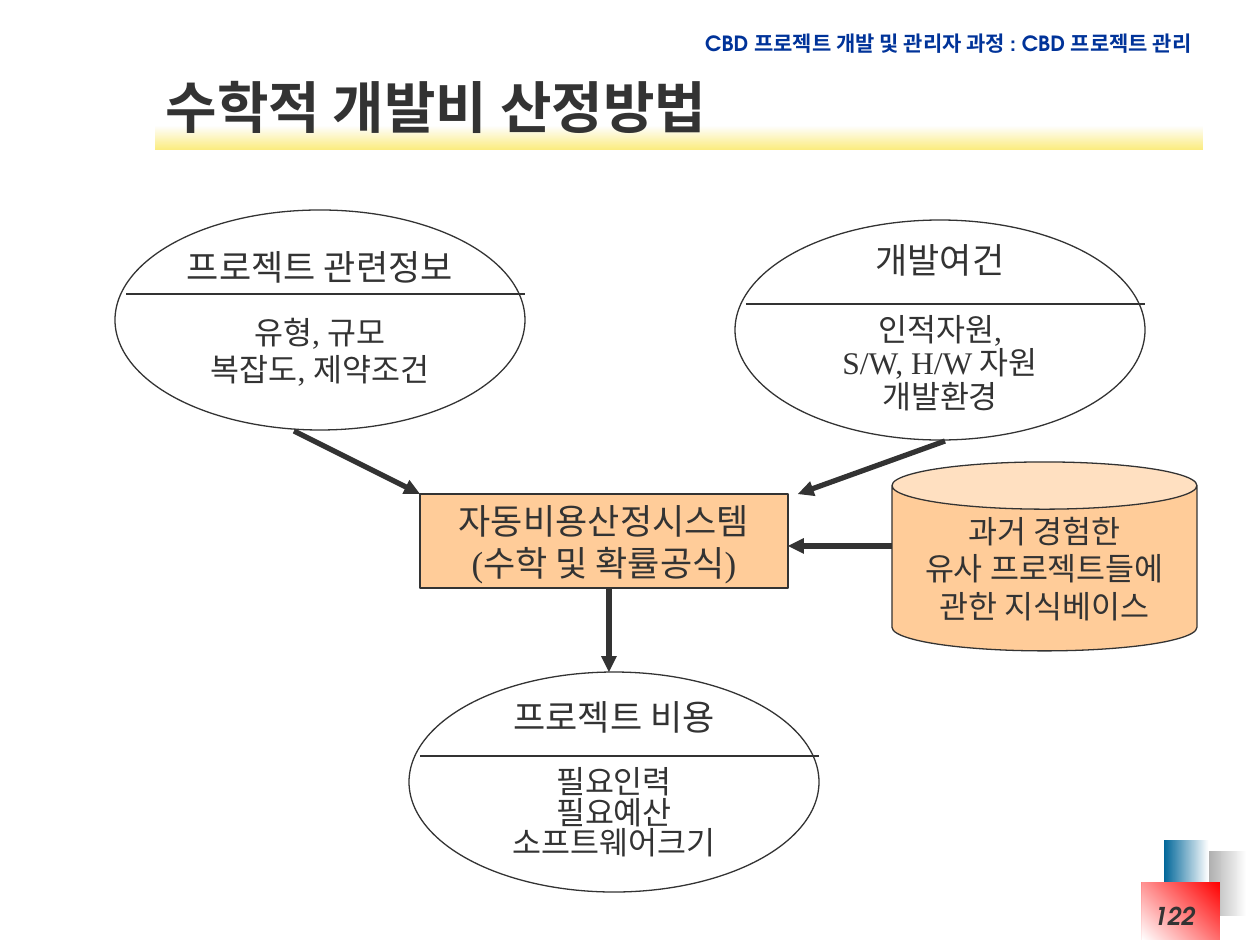
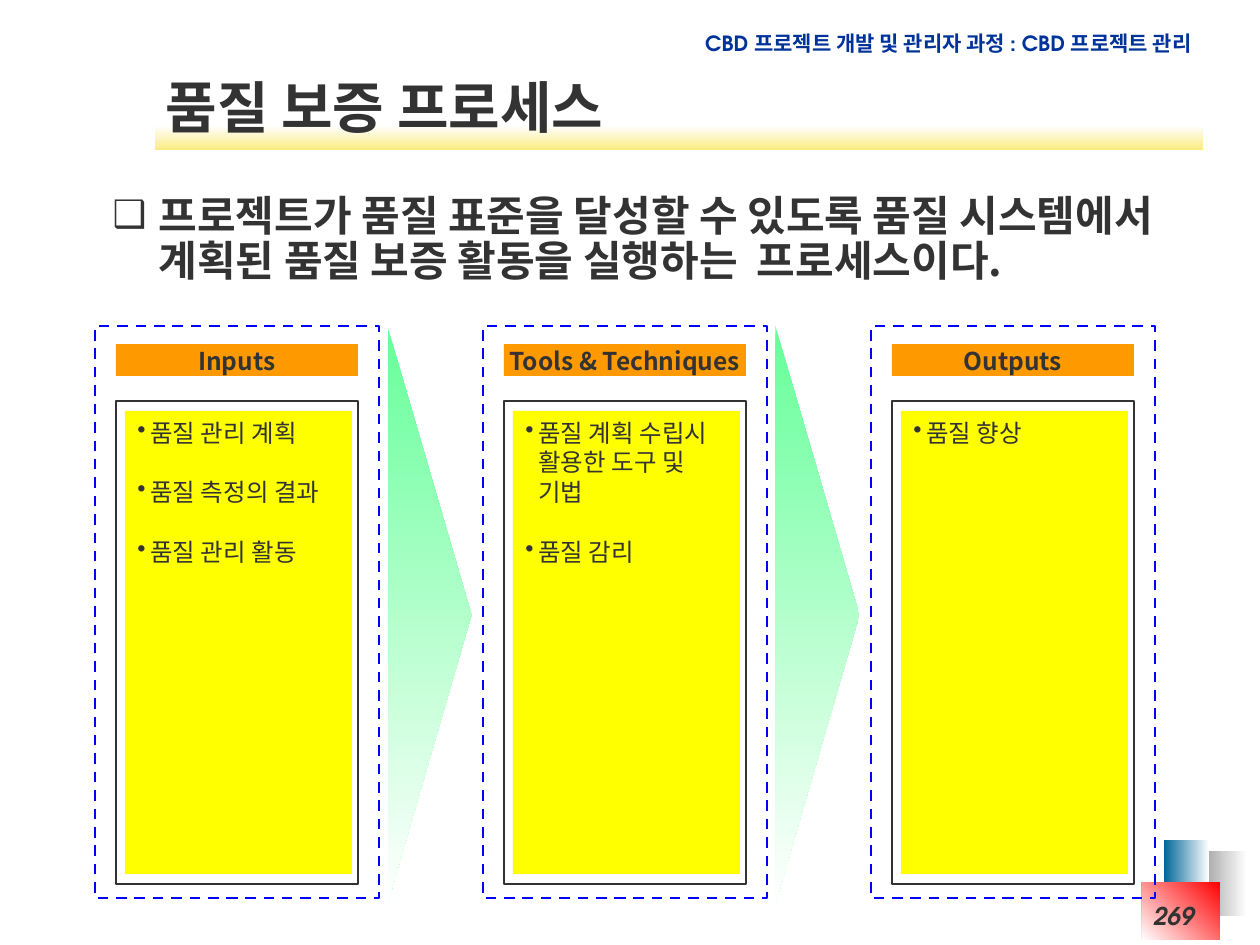
from lxml.etree import SubElement
from pptx import Presentation
from pptx.dml.color import RGBColor
from pptx.enum.dml import MSO_LINE
from pptx.enum.shapes import MSO_CONNECTOR, MSO_SHAPE as Preset
from pptx.enum.text import MSO_ANCHOR as Anchor, MSO_AUTO_SIZE, PP_ALIGN as Align
from pptx.oxml.ns import qn
from pptx.util import Emu, Pt

EMU_PER_PX = 914400 / 126

INK = RGBColor(0x33, 0x33, 0x33)
WHITE = RGBColor(0xFF, 0xFF, 0xFF)
GRAY = RGBColor(0x96, 0x96, 0x96)
TEAL = RGBColor(0x00, 0x66, 0x99)
RED = RGBColor(0xFF, 0x00, 0x00)
OFF_WHITE = RGBColor(0xFE, 0xFE, 0xFE)
PALE_YELLOW = RGBColor(0xFB, 0xEC, 0x7F)
NAVY = RGBColor(0x00, 0x33, 0x99)
PEACH = RGBColor(0xFF, 0xCC, 0x99)
BLUE = RGBColor(0x00, 0x00, 0xFF)
ORANGE = RGBColor(0xFF, 0x99, 0x00)
YELLOW = RGBColor(0xFF, 0xFF, 0x00)
GREEN = RGBColor(0x66, 0xFF, 0x99)

SANS = "Noto Sans CJK KR"
SERIF = "Times New Roman"
GEOMETRIC = "TeX Gyre Adventor"

COURSE = "CBD 프로젝트 개발 및 관리자 과정 : CBD 프로젝트 관리"
TITLE_ONLY, TITLE_AND_BODY = 5, 1
COLUMN_LEFT, COLUMN_PITCH = 95, 388


def px(length):
    return Emu(round(length * EMU_PER_PX))


def place(shape, left, top, width, height):
    shape.left, shape.top = px(left), px(top)
    shape.width, shape.height = px(width), px(height)


def format_paragraph(paragraph, size, font_name, color=INK, bold=False, italic=False,
                     align=Align.LEFT, spacing=None):
    paragraph.alignment = align
    if spacing:
        paragraph.line_spacing = Pt(spacing)
    for run in paragraph.runs:
        font = run.font
        font.size, font.bold, font.italic = Pt(size), bold, italic
        font.color.rgb = color
        font.name = font_name
        SubElement(run._r.get_or_add_rPr(), qn("a:ea"), typeface=SANS)


def add_bullet(paragraph, character, margin, hanging, percent=100):
    properties = paragraph._p.get_or_add_pPr()
    properties.set("marL", str(px(margin)))
    properties.set("indent", str(-px(hanging)))
    color = SubElement(properties, qn("a:buClr"))
    SubElement(color, qn("a:srgbClr"), val=str(INK))
    SubElement(properties, qn("a:buSzPct"), val=str(percent * 1000))
    SubElement(properties, qn("a:buChar"), char=character)


def add_shape(slide, preset, box, fill=None, line=None, line_width=0.75):
    shape = slide.shapes.add_shape(preset, *map(px, box))
    shape.shadow.inherit = False
    if fill is None:
        shape.fill.background()
    else:
        shape.fill.solid()
        shape.fill.fore_color.rgb = fill
    if line is None:
        shape.line.fill.background()
    else:
        shape.line.color.rgb = line
        shape.line.width = Pt(line_width)
    return shape


def add_gradient_shape(slide, preset, box, start, end, clockwise):
    shape = add_shape(slide, preset, box)
    shape.fill.gradient()
    shape.fill.gradient_angle = (360 - clockwise) % 360
    for stop, position, color in zip(shape.fill.gradient_stops, (0, 1), (start, end)):
        stop.position = position
        stop.color.rgb = color
    return shape


def write_centered(shape, lines, size, font_name, spacing, bold=False):
    frame = shape.text_frame
    frame.text = "\n".join(lines)
    frame.word_wrap = False
    frame.vertical_anchor = Anchor.MIDDLE
    for paragraph in frame.paragraphs:
        format_paragraph(paragraph, size, font_name, bold=bold, align=Align.CENTER,
                         spacing=spacing)
    return frame


def add_line(slide, start, end, width=0.75, arrow=False):
    connector = slide.shapes.add_connector(MSO_CONNECTOR.STRAIGHT, *map(px, start + end))
    connector.line.color.rgb = INK
    connector.line.width = Pt(width)
    properties = connector.element.spPr
    if arrow:
        SubElement(properties.find(qn("a:ln")), qn("a:tailEnd"), type="triangle")
    SubElement(properties, qn("a:effectLst"))


def add_right_text(slide, text, box, size, color, italic=False, spacing=None):
    frame = slide.shapes.add_textbox(*map(px, box)).text_frame
    frame.word_wrap = True
    frame.text = text
    format_paragraph(frame.paragraphs[0], size, GEOMETRIC, color, bold=True,
                     italic=italic, align=Align.RIGHT, spacing=spacing)


def fill_placeholder(placeholder, text, box, size, spacing):
    placeholder.element.getparent().append(placeholder.element)
    place(placeholder, *box)
    frame = placeholder.text_frame
    frame.text = text
    frame.auto_size = MSO_AUTO_SIZE.NONE
    paragraph = frame.paragraphs[0]
    format_paragraph(paragraph, size, SANS, bold=True, spacing=spacing)
    return paragraph


def add_base_slide(presentation, layout_index, title):
    slide = presentation.slides.add_slide(presentation.slide_layouts[layout_index])
    for box, start, end, angle in (
        ((1197, 851, 50, 65), WHITE, GRAY, 180),
        ((1164, 840, 45, 66), WHITE, TEAL, 180),
        ((1142, 882, 78, 58), RED, WHITE, 135),
        ((155, 126, 1048, 24), OFF_WHITE, PALE_YELLOW, 90),
    ):
        add_gradient_shape(slide, Preset.RECTANGLE, box, start, end, angle)
    add_right_text(slide, COURSE, (680, 23, 524, 38), 12, NAVY, spacing=15)
    fill_placeholder(slide.shapes.title, title, (153, 64, 1048, 77), 32, 42)
    return slide


def add_page_number(slide, number):
    add_right_text(slide, str(number), (1052, 895, 155, 50), 14, INK, italic=True)


def add_divided_ellipse(slide, left, top, divider, heading, details, gap, spacing):
    width = 410
    ellipse = add_shape(slide, Preset.OVAL, (left, top, width, 220), WHITE, INK)
    frame = write_centered(ellipse, [heading] + details, 18, SERIF, spacing)
    first = frame.paragraphs[0]
    first.line_spacing = Pt(20)
    first.space_after = Pt(gap)
    first.runs[0].font.size = Pt(20)
    add_line(slide, (left + 11, divider), (left + width, divider))


def add_process_column(slide, left, heading, items):
    border = add_shape(slide, Preset.RECTANGLE, (left, 326, 284, 572), line=BLUE, line_width=1.5)
    border.line.dash_style = MSO_LINE.DASH
    label = add_shape(slide, Preset.RECTANGLE, (left + 21, 344, 242, 32), ORANGE)
    write_centered(label, [heading], 14, SANS, 18, bold=True)
    add_shape(slide, Preset.RECTANGLE, (left + 21, 401, 242, 483), line=INK)
    panel = add_shape(slide, Preset.RECTANGLE, (left + 30, 411, 227, 463), YELLOW)
    frame = panel.text_frame
    frame.text = "\n".join(items)
    frame.word_wrap = True
    frame.vertical_anchor = Anchor.TOP
    for index, paragraph in enumerate(frame.paragraphs):
        format_paragraph(paragraph, 14, SANS, spacing=17)
        paragraph.space_before = Pt(17 if index else 0)
        add_bullet(paragraph, "•", 13, 13)


def build_cost_slide(presentation):
    slide = add_base_slide(presentation, TITLE_ONLY, "수학적 개발비 산정방법")
    add_divided_ellipse(slide, 115, 210, 294, "프로젝트 관련정보",
                        ["유형, 규모", "복잡도, 제약조건"], 15.5, 21)
    add_divided_ellipse(slide, 735, 220, 304, "개발여건",
                        ["인적자원,", "S/W, H/W 자원", "개발환경"], 19.5, 19)
    add_divided_ellipse(slide, 409, 672, 756, "프로젝트 비용",
                        ["필요인력", "필요예산", "소프트웨어크기"], 18, 17.5)
    knowledge_base = add_shape(slide, Preset.CAN, (892, 462, 305, 189), PEACH, INK)
    write_centered(knowledge_base, ["과거 경험한", "유사 프로젝트들에", "관한 지식베이스"],
                   18, SERIF, 21.5)
    system = add_shape(slide, Preset.RECTANGLE, (420, 494, 368, 94), PEACH, INK)
    write_centered(system, ["자동비용산정시스템", "(수학 및 확률공식)"], 20, SERIF, 24)
    for start, end in (
        ((294, 431), (420, 494)),
        ((945, 441), (798, 494)),
        ((892, 546), (788, 546)),
        ((609, 588), (609, 672)),
    ):
        add_line(slide, start, end, 3, arrow=True)
    add_page_number(slide, 122)


def build_quality_slide(presentation):
    slide = add_base_slide(presentation, TITLE_AND_BODY, "품질 보증 프로세스")
    summary = fill_placeholder(
        slide.placeholders[1],
        "프로젝트가 품질 표준을 달성할 수 있도록 품질 시스템에서 계획된 품질 보증 활동을 "
        "실행하는  프로세스이다.",
        (88, 188, 1115, 112), 24, 26)
    summary.space_before = Pt(2)
    add_bullet(summary, "❑", 58, 46, 90)
    columns = (
        ("Inputs", ["품질 관리 계획", "품질 측정의 결과", "품질 관리 활동"]),
        ("Tools & Techniques", ["품질 계획 수립시\v활용한 도구 및 기법", "품질 감리"]),
        ("Outputs", ["품질 향상"]),
    )
    for index, (heading, items) in enumerate(columns):
        left = COLUMN_LEFT + index * COLUMN_PITCH
        if index < len(columns) - 1:
            arrow = add_gradient_shape(slide, Preset.ISOSCELES_TRIANGLE,
                                       (left + 46, 573, 577, 84), GREEN, WHITE, 0)
            arrow.rotation = 90
        add_process_column(slide, left, heading, items)
    add_page_number(slide, 269)


def main():
    presentation = Presentation()
    presentation.slide_width, presentation.slide_height = px(1260), px(945)
    build_cost_slide(presentation)
    build_quality_slide(presentation)
    presentation.save("out.pptx")


if __name__ == "__main__":
    main()
